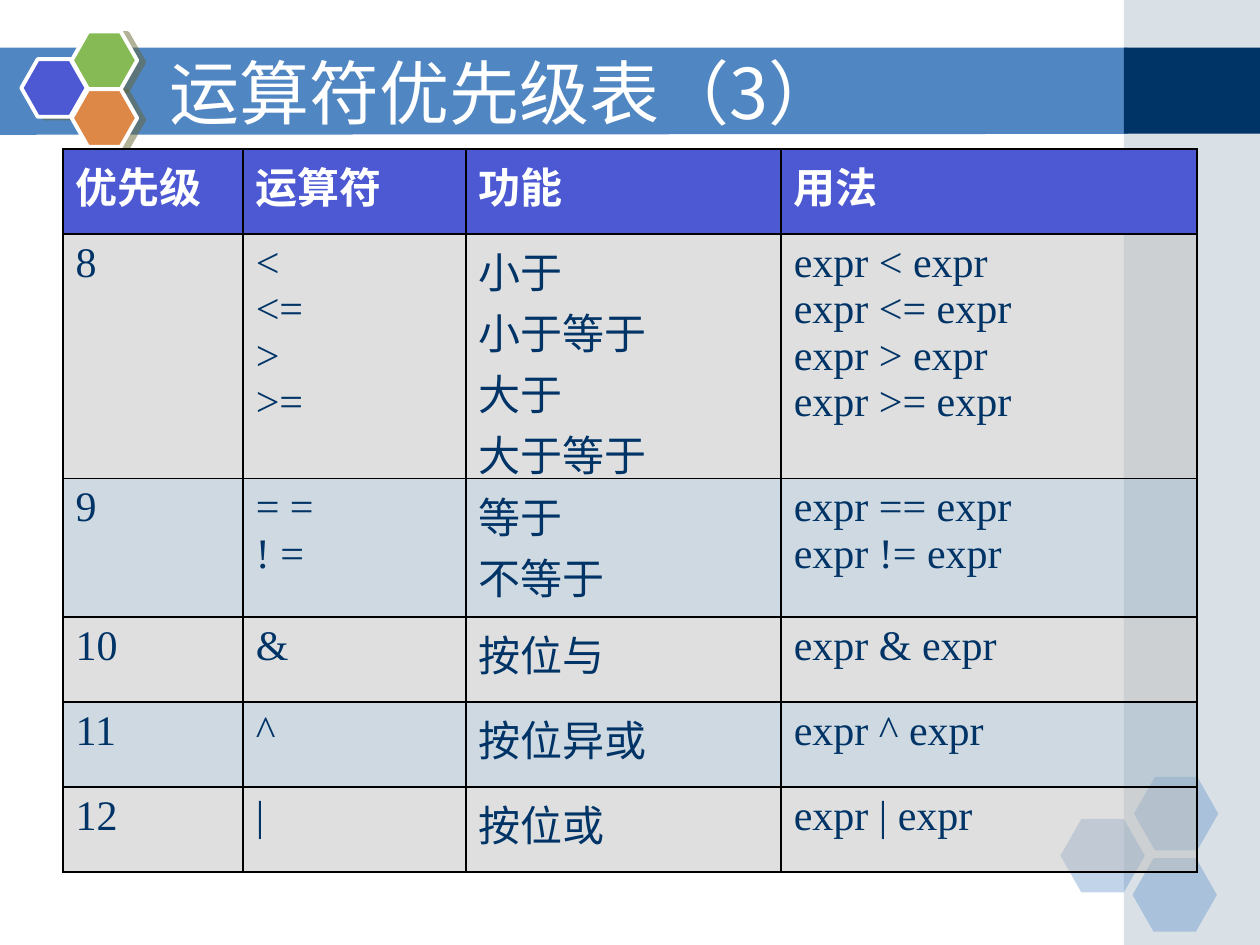
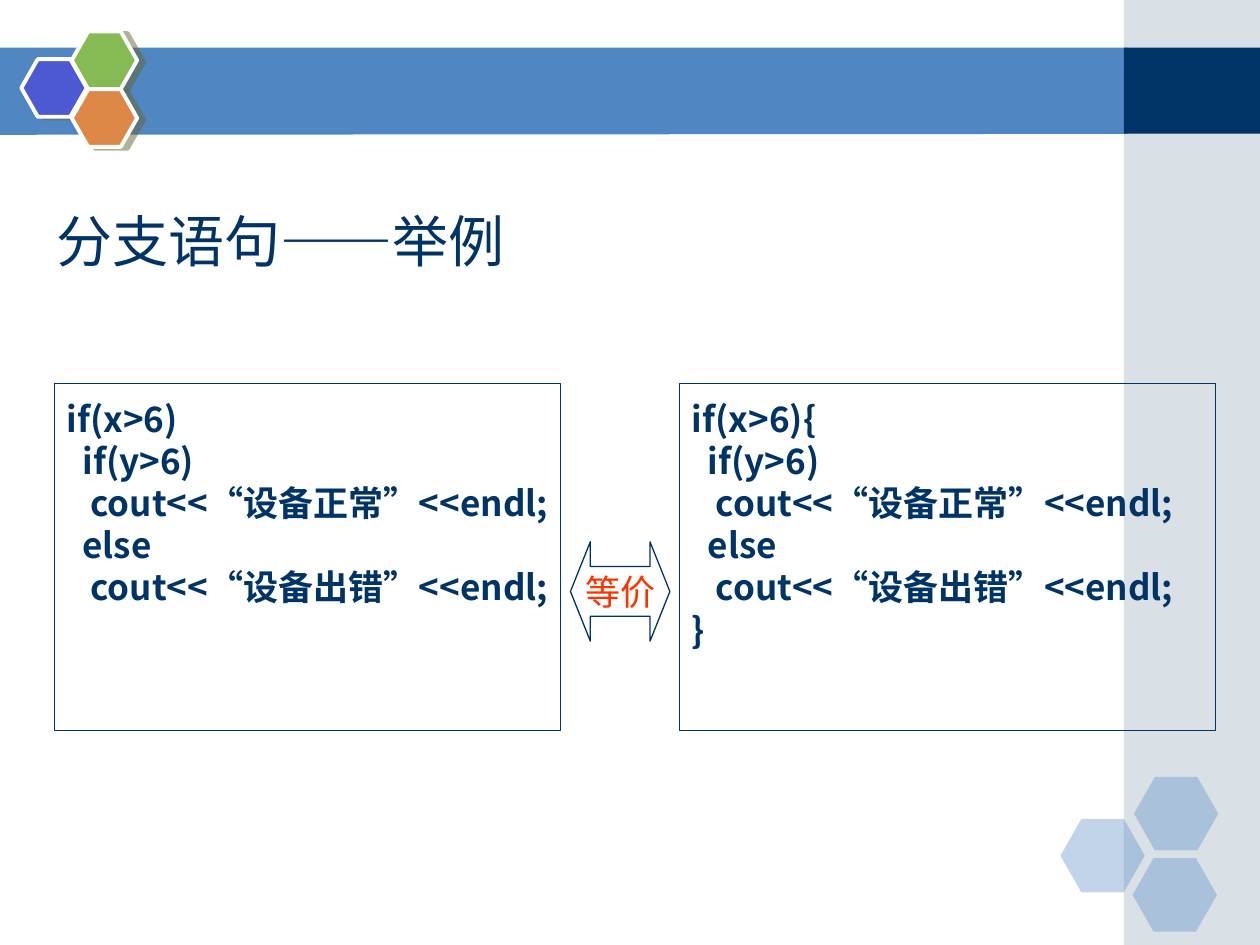
from lxml import etree
from pptx import Presentation
from pptx.dml import color
from pptx.enum import shapes, text
from pptx.oxml import ns
from pptx.util import Pt

NAVY, BLUE, PALE, INDIGO, WHITE = "003366", "5086C2", "A0B5C4", "4C59D2", "FFFFFF"
SANS, SERIF = "Noto Sans CJK SC", "Times New Roman"
KIND = shapes.MSO_SHAPE
hue = color.RGBColor.from_string


def tint(fill, tone, alpha=100):
    """Fill with one colour, at alpha percent opacity."""
    fill.solid()
    fill.fore_color.rgb = hue(tone)
    if alpha < 100:
        node = fill._xPr.find(ns.qn("a:solidFill"))[0]
        etree.SubElement(node, ns.qn("a:alpha"), val=str(alpha * 1000))


def write(frame, lines, tone, look, hang=0, form=()):
    """Write one paragraph per line; look formats runs, form paragraphs."""
    for i, line in enumerate(lines):
        para = frame.paragraphs[0] if i == 0 else frame.add_paragraph()
        for key, val in dict(form).items():
            if not (i == 0 and key == "space_before"):
                setattr(para, key, val)
        if hang:
            props = para._p.get_or_add_pPr()
            props.set("marL", str(Pt(hang)))
            props.set("indent", str(-Pt(hang)))
        run = para.add_run()
        run.text = line
        for key, val in look.items():
            setattr(run.font, key, val)
        run.font.color.rgb = hue(tone)
        props = run._r.get_or_add_rPr()
        props.set("lang", "zh-CN")
        etree.SubElement(props, ns.qn("a:ea"), typeface=SANS)


deck = Presentation()
deck.slide_width, deck.slide_height = Pt(720), Pt(540)

# Shared parts: kind, left, top, width, height, colour, opacity, raised
parts = [
    (KIND.RECTANGLE, 642.24, 0, 77.76, 540, PALE, 40, False),
    (KIND.RECTANGLE, 642.24, 27.2, 77.76, 49.2, NAVY, 100, False),
]
for x, y in [(606, 468), (648, 444), (647.2, 490.4)]:
    parts.append((KIND.HEXAGON, x, y, 48.2, 42, BLUE, 35, False))
for x, y, tone in [(12.2, 33.8, INDIGO), (41, 18, "85BA54"), (41, 51, "DE8848")]:
    parts.append((KIND.HEXAGON, x, y, 37.4, 33, tone, 100, True))

titles = [
    ("运算符优先级表（3）", 90, 30.2, 599, 44.6, 40, WHITE),
    ("分支语句——举例", 25.2, 105.8, 648, 62.6, 32, NAVY),
]
for title, left, top, wide, high, size, ink in titles:
    slide = deck.slides.add_slide(deck.slide_layouts[6])
    pen = slide.shapes.build_freeform(Pt(-0.72), Pt(27.2), scale=1.0)
    pen.add_line_segments([(Pt(644.4), Pt(27.2)), (Pt(644.4), Pt(76.5)),
                           (Pt(-0.72), Pt(77))], close=True)
    band = pen.convert_to_shape()
    band.shadow.inherit = False
    tint(band.fill, BLUE)
    band.line.fill.background()
    for kind, x, y, w, h, tone, alpha, raised in parts:
        part = slide.shapes.add_shape(kind, Pt(x), Pt(y), Pt(w), Pt(h))
        part.shadow.inherit = False
        tint(part.fill, tone, alpha)
        part.line.fill.background()
        if kind == KIND.HEXAGON:
            part.adjustments[0] = 0.285
        if raised:
            tint(part.line.fill, WHITE)
            part.line.width = Pt(2.25)
            glow = part._element.spPr.find(ns.qn("a:effectLst"))
            cast = etree.SubElement(glow, ns.qn("a:outerShdw"), dist=str(Pt(4.1)),
                                    dir=str(14 * 60000), algn="ctr", rotWithShape="0")
            shade = etree.SubElement(cast, ns.qn("a:srgbClr"), val="666633")
            etree.SubElement(shade, ns.qn("a:alpha"), val="50000")
    head = slide.shapes.add_textbox(Pt(left), Pt(top), Pt(wide), Pt(high)).text_frame
    head.word_wrap = True
    head.vertical_anchor = text.MSO_ANCHOR.MIDDLE
    write(head, [title], ink, {"size": Pt(size), "name": SANS})

# Slide 1: operator table
rows = [
    (48.6, ["优先级"], ["运算符"], ["功能"], ["用法"]),
    (139.7, ["8"], ["<", "<=", ">", ">="], ["小于", "小于等于", "大于", "大于等于"],
     ["expr < expr", "expr <= expr", "expr > expr", "expr >= expr"]),
    (79.2, ["9"], ["= =", "! ="], ["等于", "不等于"], ["expr == expr", "expr != expr"]),
    (48.6, ["10"], ["&"], ["按位与"], ["expr & expr"]),
    (48.6, ["11"], ["^"], ["按位异或"], ["expr ^ expr"]),
    (48.6, ["12"], ["|"], ["按位或"], ["expr | expr"]),
]
grid = deck.slides[0].shapes.add_table(6, 4, Pt(36), Pt(85), Pt(648), Pt(413.3)).table
for col, wide in zip(grid.columns, [103, 127.4, 180, 237.6]):
    col.width = Pt(wide)
for r, (high, *cells) in enumerate(rows):
    grid.rows[r].height = Pt(high)
    for c, lines in enumerate(cells):
        cell = grid.cell(r, c)
        write(cell.text_frame, lines, NAVY if r else WHITE,
              {"size": Pt(24), "name": SERIF, "bold": r == 0}, 27)
        props = cell._tc.get_or_add_tcPr()
        for side in ["lnL", "lnR", "lnT", "lnB"]:
            edge = etree.SubElement(props, ns.qn("a:" + side), w=str(Pt(0.96)))
            ink = etree.SubElement(edge, ns.qn("a:solidFill"))
            etree.SubElement(ink, ns.qn("a:srgbClr"), val="000000")
        if r == 0:
            tint(cell.fill, INDIGO)
        else:
            tint(cell.fill, "C0C0C0" if r % 2 else PALE, 50)

# Slide 2: two equal pieces of code
body = ["  if(y>6)", "   cout<<“设备正常”<<endl;", "  else", "   cout<<“设备出错”<<endl;"]
code = {"size": Pt(20), "name": SANS, "bold": True}
top, left, mid = text.MSO_ANCHOR.TOP, text.PP_ALIGN.LEFT, text.PP_ALIGN.CENTER
boxes = [
    (KIND.RECTANGLE, 388.3, 219, 306.4, 198.4, ["if(x>6){", *body, "}"]),
    (KIND.RECTANGLE, 31, 219, 289.4, 198.4, ["if(x>6)", *body]),
    (KIND.LEFT_RIGHT_ARROW, 326, 309.6, 56.8, 56.8, ["等价"]),
]
for kind, x, y, w, h, lines in boxes:
    box = deck.slides[1].shapes.add_shape(kind, Pt(x), Pt(y), Pt(w), Pt(h))
    box.shadow.inherit = False
    box.fill.background()
    tint(box.line.fill, NAVY)
    box.line.width = Pt(0.75)
    frame = box.text_frame
    if kind == KIND.RECTANGLE:
        frame.word_wrap = True
        frame.vertical_anchor = top
        write(frame, lines, NAVY, code, 27,
              {"alignment": left, "line_spacing": 0.9, "space_before": Pt(2.5)})
        frame.paragraphs[0].line_spacing = 1.2
    else:
        box.adjustments[1] = 0.2
        frame.word_wrap = False
        frame.vertical_anchor = text.MSO_ANCHOR.MIDDLE
        write(frame, lines, "FF3300", {"size": Pt(20), "name": "Arial"},
              form={"alignment": mid})

deck.save("out.pptx")
